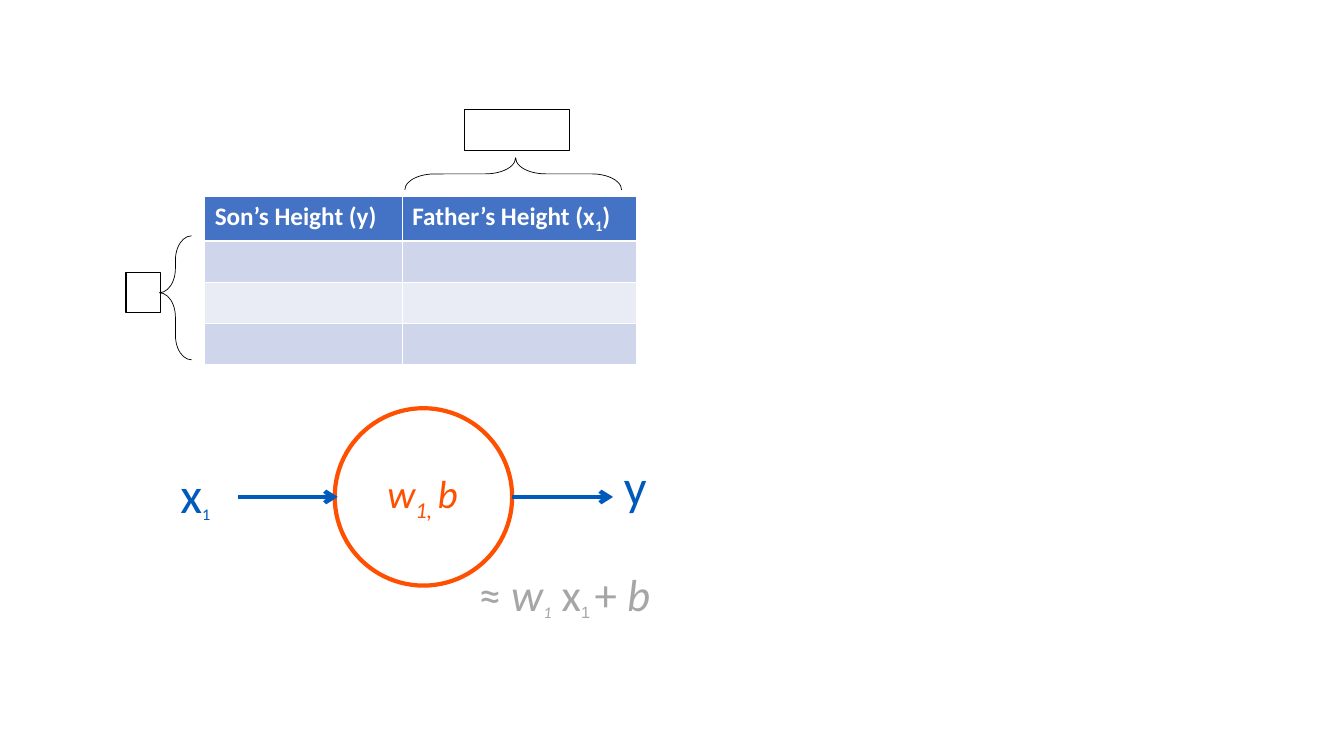
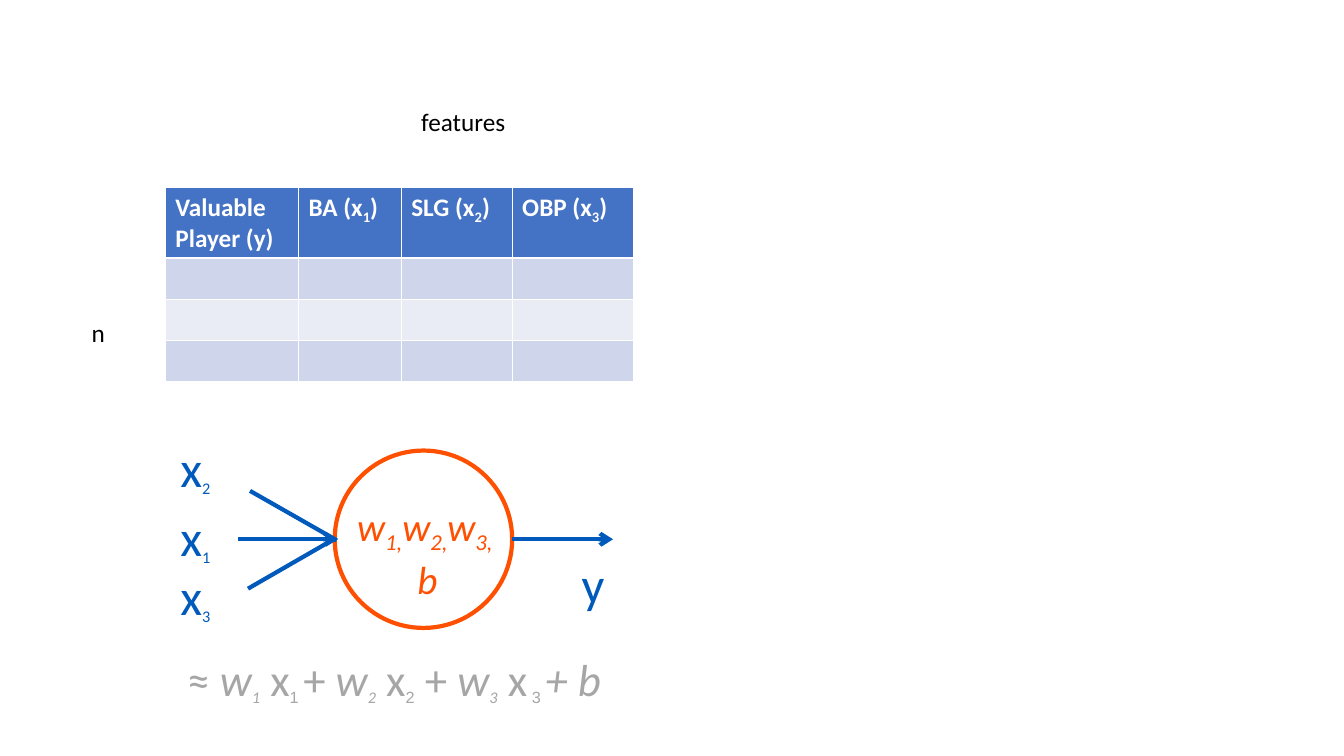
from lxml import etree
from pptx import Presentation
from pptx import util as u
from pptx.dml.color import RGBColor
from pptx.enum import shapes, text
from pptx.oxml.ns import qn

Inches, Pt = u.Inches, u.Pt
COLORS = {
    "neuron": "FE5000", "signal": "005ABB", "formula": "A6A6A6", "ink": "000000",
    "header": "4472C4", "header_text": "FFFFFF", "band_dark": "CFD5EA", "band_light": "E9EBF5",
}
BODY_ROWS, ROW_HEIGHT = 3, 0.41
CIRCLE_LEFT, CIRCLE_SIZE = 3.32, 1.76
INPUT_LEFT = 1.69

# Run styles: i = italic, s = subscript, a = Arial
SLIDES = [
    {
        "table": {
            "at": (2.03, 1.95), "columns": [1.96, 2.32], "header_height": 0.41,
            "header": [[("Son’s Height (y)", "")],
                       [("Father’s Height (x", ""), ("1", "s"), (")", "")]],
        },
        "center": 4.93,
        "inputs": [("1", 4.54)],
        "input_lines": [],
        "output_at": (6.09, 4.47),
        "weights": ((3.72, 4.61, 0.94, 0.57), [("w", "i"), ("1, ", "is"), ("b", "i")]),
        "formula": ((4.65, 5.57, 1.95, 0.64), [
            ("≈ ", ""), ("w", "i"), ("1", "is"), (" x", ""), ("1 ", "sa"), ("+ ", ""), ("b", "i")]),
        "braces": [((1.58, 2.34, 0.32, 1.23), 0, (0.756, 0.459)),
                   ((4.93, 0.65, 0.32, 2.15), 90, (0.931, 0.489))],
        "boxes": [(1.25, 2.7, 0.34, 0.4), (4.61, 1.09, 1.04, 0.4)],
        "labels": [],
    },
    {
        "table": {
            "at": (1.64, 1.86), "columns": [1.32, 1.02, 1.1, 1.2], "header_height": 0.7,
            "header": [[("Valuable Player (y)", "")]] + [
                [(f"{name} (x", ""), (index, "s"), (")", "")]
                for name, index in (("BA", "1"), ("SLG", "2"), ("OBP", "3"))],
        },
        "center": 5.35,
        "inputs": [("2", 4.29), ("1", 4.97), ("3", 5.56)],
        "input_lines": [((2.46, 5.84), (3.31, 5.35)), ((2.48, 4.87), (3.34, 5.36))],
        "output_at": (5.67, 5.44),
        "weights": ((3.39, 4.93, 1.7, 1.04), [
            ("w", "i"), ("1,", "is"), ("w", "i"), ("2,", "is"), ("w", "i"), ("3, ", "is"),
            ("\n", ""), ("b", "i")]),
        "formula": ((1.76, 6.42, 4.44, 0.64), [
            ("≈ ", ""), ("w", "i"), ("1", "is"), (" x", ""), ("1 ", "sa"), ("+", ""),
            (" w", "i"), ("2", "is"), (" x", ""), ("2", "sa"), (" +", ""),
            (" w", "i"), ("3", "is"), (" x", ""), (" 3 ", "sa"), ("+ b", "i")]),
        "braces": [],
        "boxes": [],
        "labels": [("n", (0.81, 3.1, 0.34, 0.4)), ("features", (4.08, 1.01, 1.04, 0.4))],
    },
]


def color(name):
    return RGBColor.from_string(COLORS[name])


def lengths(values):
    return [Inches(value) for value in values]


def write_runs(paragraph, runs, color_name, size, subscript_size=None, bold=False):
    for content, style in runs:
        if content == "\n":
            paragraph.add_line_break()
            continue
        run = paragraph.add_run()
        run.text = content
        subscript = "s" in style
        font = run.font
        font.name = "Arial" if "a" in style else "Calibri"
        font.size = Pt(subscript_size or size) if subscript else Pt(size)
        font.bold = bold
        font.italic = "i" in style
        font.color.rgb = color(color_name)
        if subscript:
            run._r.get_or_add_rPr().set("baseline", "-25000")


def add_text(slide, box, runs, color_name, size, subscript_size=None, align=text.PP_ALIGN.LEFT):
    frame = slide.shapes.add_textbox(*lengths(box)).text_frame
    frame.word_wrap = False
    frame.auto_size = text.MSO_AUTO_SIZE.SHAPE_TO_FIT_TEXT
    frame.paragraphs[0].alignment = align
    write_runs(frame.paragraphs[0], runs, color_name, size, subscript_size)


def add_outline(slide, kind, box, color_name, width):
    shape = slide.shapes.add_shape(kind, *lengths(box))
    shape.shadow.inherit = False
    shape.fill.background()
    shape.line.color.rgb = color(color_name)
    shape.line.width = Pt(width)
    return shape


def add_line(slide, start, end, arrow=False):
    connector = slide.shapes.add_connector(
        shapes.MSO_CONNECTOR.STRAIGHT, *lengths(start + end))
    connector.line.color.rgb = color("signal")
    connector.line.width = Pt(3)
    if arrow:
        etree.SubElement(connector.line._get_or_add_ln(), qn("a:tailEnd"), type="arrow")
    etree.SubElement(connector._element.spPr, qn("a:effectLst"))


def add_data_table(slide, data):
    columns = data["columns"]
    heights = [data["header_height"]] + [ROW_HEIGHT] * BODY_ROWS
    box = (*data["at"], sum(columns), sum(heights))
    table = slide.shapes.add_table(len(heights), len(columns), *lengths(box)).table
    for column, width in zip(table.columns, columns):
        column.width = Inches(width)
    for index, height in enumerate(heights):
        table.rows[index].height = Inches(height)
        fill = "header" if index == 0 else "band_dark" if index % 2 else "band_light"
        for cell in table.rows[index].cells:
            cell.fill.solid()
            cell.fill.fore_color.rgb = color(fill)
    for cell, runs in zip(table.rows[0].cells, data["header"]):
        write_runs(cell.text_frame.paragraphs[0], runs, "header_text", 18, bold=True)


def add_neuron(slide, data):
    center = data["center"]
    circle_right = CIRCLE_LEFT + CIRCLE_SIZE
    add_outline(slide, shapes.MSO_SHAPE.OVAL,
                (CIRCLE_LEFT, center - CIRCLE_SIZE / 2, CIRCLE_SIZE, CIRCLE_SIZE), "neuron", 3)
    for left, right in ((2.36, 3.35), (circle_right, circle_right + 1)):
        add_line(slide, (left, center), (right, center), arrow=True)
    for start, end in data["input_lines"]:
        add_line(slide, start, end)
    for index, top in data["inputs"]:
        add_text(slide, (INPUT_LEFT, top, 0.52, 0.71), [("x", ""), (index, "s")], "signal", 36, 20)
    add_text(slide, (*data["output_at"], 0.43, 0.71), [("y", "")], "signal", 36)
    box, runs = data["weights"]
    add_text(slide, box, runs, "neuron", 28, align=text.PP_ALIGN.CENTER)
    box, runs = data["formula"]
    add_text(slide, box, runs, "formula", 32, 20)


def add_annotations(slide, data):
    for box, rotation, adjustments in data["braces"]:
        brace = add_outline(slide, shapes.MSO_SHAPE.LEFT_BRACE, box, "ink", 0.5)
        brace.rotation = rotation
        for index, value in enumerate(adjustments):
            brace.adjustments[index] = value
    for box in data["boxes"]:
        add_outline(slide, shapes.MSO_SHAPE.RECTANGLE, box, "ink", 0.75)
    for label, box in data["labels"]:
        add_text(slide, box, [(label, "")], "ink", 18)


def main():
    presentation = Presentation()
    presentation.slide_width = Inches(13.33)
    presentation.slide_height = Inches(7.5)
    for data in SLIDES:
        slide = presentation.slides.add_slide(presentation.slide_layouts[6])
        add_neuron(slide, data)
        add_data_table(slide, data["table"])
        add_annotations(slide, data)
    presentation.save("out.pptx")


if __name__ == "__main__":
    main()
